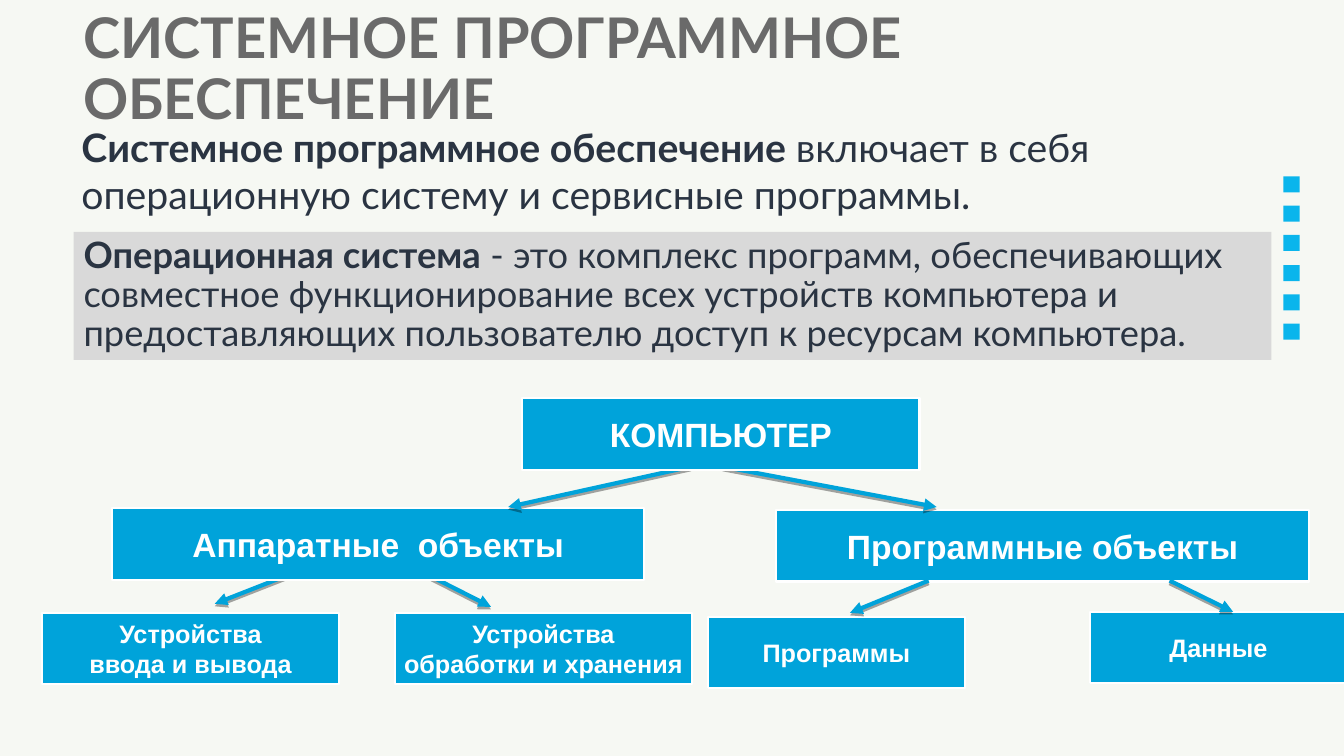
"""Slide on system software: definitions above a tree of computer objects."""
from lxml import etree
from pptx import Presentation
from pptx.dml.color import RGBColor
from pptx.enum.shapes import MSO_CONNECTOR, MSO_SHAPE
from pptx.enum.text import MSO_ANCHOR, PP_ALIGN
from pptx.oxml import parse_xml
from pptx.oxml.ns import nsdecls, qn
from pptx.util import Pt

PX = 9144
COLORS = {k: RGBColor.from_string(v) for k, v in {
    "background": "F6F8F3", "title": "6A6A6A", "text": "2A3442",
    "panel": "D9D9D9", "square": "0AB5EC", "box": "00A3DA", "white": "FFFFFF",
}.items()}
SHADOW = (f'<a:effectLst {nsdecls("a")}><a:outerShdw blurRad="0" dist="23000" dir="5400000"'
          ' rotWithShape="0"><a:srgbClr val="000000"><a:alpha val="35000"/></a:srgbClr>'
          '</a:outerShdw></a:effectLst>')

prs = Presentation()
prs.slide_width, prs.slide_height = 1333 * PX, 750 * PX
slide = prs.slides.add_slide(prs.slide_layouts[6])
slide.background.fill.solid()
slide.background.fill.fore_color.rgb = COLORS["background"]
shapes = slide.shapes


def add_box(x, y, w, h, fill, line=None, text="", size=18):
    """Add a filled rectangle with centred bold text."""
    sp = shapes.add_shape(MSO_SHAPE.RECTANGLE, x * PX, y * PX, w * PX, h * PX)
    sp.shadow.inherit = False
    sp.fill.solid()
    sp.fill.fore_color.rgb = COLORS[fill]
    if line:
        sp.line.color.rgb = COLORS[line]
        sp.line.width = Pt(1.5)
    else:
        sp.line.fill.background()
    tf = sp.text_frame
    tf.word_wrap = False
    tf.vertical_anchor = MSO_ANCHOR.MIDDLE
    if text:
        tf.text = text
    for p in tf.paragraphs:
        p.alignment = PP_ALIGN.CENTER
        for r in p.runs:
            r.font.name, r.font.size, r.font.bold = "Arial", Pt(size), True
            r.font.color.rgb = COLORS["white"]
    return sp


def add_arrow(x1, y1, x2, y2):
    """Add a shadowed arrow from a parent down to its child."""
    cn = shapes.add_connector(MSO_CONNECTOR.STRAIGHT, x1 * PX, y1 * PX, x2 * PX, y2 * PX)
    cn.line.color.rgb = COLORS["box"]
    cn.line.width = Pt(3)
    etree.SubElement(cn.line._get_or_add_ln(), qn("a:tailEnd"), type="triangle")
    cn._element.spPr.append(parse_xml(SHADOW))


for i in range(6):
    add_box(1273, 175 + round(29.2 * i), 16, 16, "square")

texts = [
    (73, 24, 93, 40, "title", None, 0.9, MSO_ANCHOR.MIDDLE,
     "СИСТЕМНОЕ ПРОГРАММНОЕ ОБЕСПЕЧЕНИЕ", ""),
    (73, 230, 127, 25.9, "text", "panel", 0.9, MSO_ANCHOR.TOP,
     "Операционная система",
     " - это комплекс программ, обеспечивающих совместное функционирование всех устройств "
     "компьютера и предоставляющих пользователю доступ к ресурсам компьютера."),
    (71, 117, 104, 28, "text", None, 1.0, MSO_ANCHOR.TOP,
     "Системное программное обеспечение",
     " включает в себя операционную систему и сервисные программы."),
]
for x, y, h, size, color, fill, spacing, anchor, term, rest in texts:
    tb = shapes.add_textbox(x * PX, y * PX, 1188 * PX, h * PX)
    if fill:
        tb.fill.solid()
        tb.fill.fore_color.rgb = COLORS[fill]
    tf = tb.text_frame
    tf.word_wrap = True
    tf.vertical_anchor = anchor
    p = tf.paragraphs[0]
    p.line_spacing = spacing
    for part, bold in ((term, True), (rest, False)):
        if part:
            r = p.add_run()
            r.text = part
            r.font.name, r.font.size, r.font.bold = "Lato", Pt(size), bold
            r.font.color.rgb = COLORS[color]

levels = [
    ([(424, 570, 487, 602), (292, 568, 213, 599)],
     [(770, 506, 528, "Программные объекты", 24),
      (111, 504, 528, "Аппаратные  объекты", 24)]),
    ([(685, 463, 504, 503), (717, 463, 929, 503)],
     [(518, 395, 394, "КОМПЬЮТЕР", 24),
      (42, 608, 294, "Устройства\nввода и вывода", 18),
      (702, 612, 255, "Программы", 18),
      (392, 608, 294, "Устройства\nобработки и хранения", 18),
      (1081, 607, 255, "Данные", 18)]),
    ([(921, 576, 843, 608), (1160, 576, 1223, 607)], []),
]
for arrows, boxes in levels:
    for ends in arrows:
        add_arrow(*ends)
    for x, y, w, text, size in boxes:
        add_box(x, y, w, 71, "box", "white", text, size)

prs.save("out.pptx")
